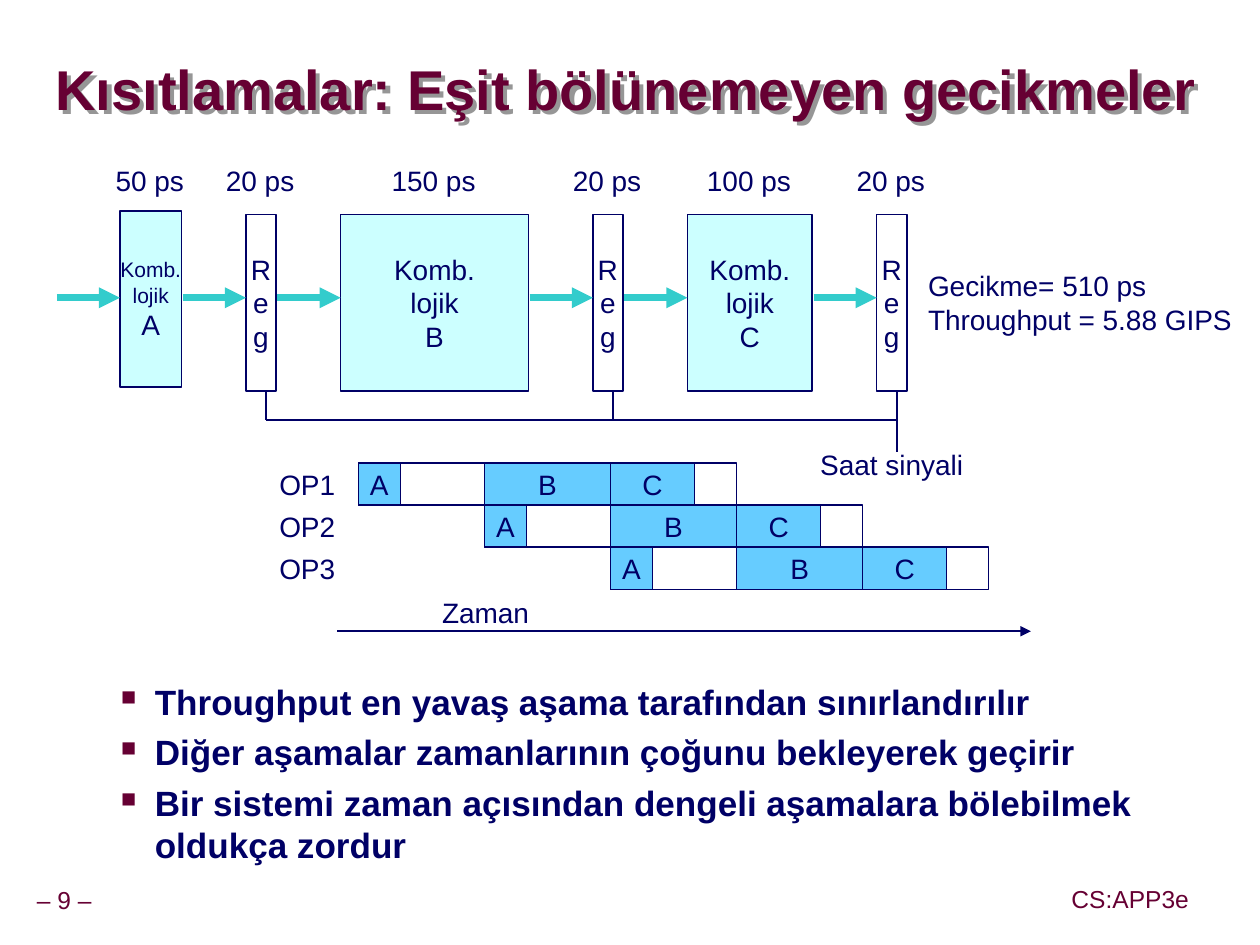
from dataclasses import dataclass
from lxml import etree
from pptx import Presentation, util as u
from pptx.dml import color as dml
from pptx.enum import shapes, text
from pptx.oxml import ns

WIDE, HIGH = 9.99, 7.49
NAVY, WINE, TEAL = "000066", "660033", "33CCCC"
PALE, SKY, WHITE = "CCFFFF", "66CCFF", "FFFFFF"
LEFT, MID, RIGHT = text.PP_ALIGN.LEFT, text.PP_ALIGN.CENTER, text.PP_ALIGN.RIGHT


@dataclass
class Grid:
    x: float
    y: float
    col: float
    row: float

    def point(self, c: float, r: float) -> tuple:
        return u.Inches(self.x + c * self.col), u.Inches(self.y + r * self.row)

    def box(self, c: float, r: float, w: float, h: float) -> tuple:
        return *self.point(c, r), u.Inches(w * self.col), u.Inches(h * self.row)


@dataclass
class Block:
    col: int
    wide: int
    time: str
    lines: list
    fill: str = WHITE
    sizes: tuple = (16, 16, 16)
    top: float = 0


PAGE = Grid(0, 0, WIDE / 100, HIGH / 100)  # shares of the slide in percent
PIPE = Grid(0.45, 1.7, 0.25, 0.1)
PLAN = Grid(2.84, 3.67, 1 / 3, 1 / 3)

REG = list("Reg")
BLOCKS = [
    Block(2, 2, "50 ps", ["Komb.", "lojik", "A"], PALE, (12, 12, 16), -0.3),
    Block(6, 1, "20 ps", REG),
    Block(9, 6, "150 ps", ["Komb.", "lojik", "B"], PALE),
    Block(17, 1, "20 ps", REG),
    Block(20, 4, "100 ps", ["Komb.", "lojik", "C"], PALE),
    Block(26, 1, "20 ps", REG),
]
POINTS = [
    "Throughput en yavaş aşama tarafından sınırlandırılır",
    "Diğer aşamalar zamanlarının çoğunu bekleyerek geçirir",
    "Bir sistemi zaman açısından dengeli aşamalara bölebilmek oldukça zordur",
]

deck = Presentation()
deck.slide_width, deck.slide_height = u.Inches(WIDE), u.Inches(HIGH)
slide = deck.slides.add_slide(deck.slide_layouts[6])


def tint(code: str) -> dml.RGBColor:
    return dml.RGBColor.from_string(code)


def add(node, tag: str, **attrs):
    return etree.SubElement(node, ns.qn(tag), attrs)


def bullet(par) -> None:
    props = par._p.get_or_add_pPr()
    props.set("marL", str(u.Inches(0.81)))
    props.set("indent", str(u.Inches(-0.27)))
    add(add(props, "a:buClr"), "a:srgbClr", val=WINE)
    add(props, "a:buSzPct", val="60000")
    add(props, "a:buChar", char="■")


def write(shape, lines: list, sizes=(16,), ink=NAVY, bold=False, align=MID,
          wrap=False, middle=False, pad=(0.1, 0.05), gap=0, marks=False):
    frame = shape.text_frame
    frame.word_wrap = wrap
    frame.vertical_anchor = text.MSO_ANCHOR.MIDDLE if middle else text.MSO_ANCHOR.TOP
    frame.margin_left = frame.margin_right = u.Inches(pad[0])
    frame.margin_top = frame.margin_bottom = u.Inches(pad[1])
    for i, line in enumerate(lines):
        par = frame.add_paragraph() if i else frame.paragraphs[0]
        if i and gap:
            par.space_before = u.Pt(gap)
        if marks:
            bullet(par)
        par.alignment = align
        run = par.add_run()
        run.text = line
        font = run.font
        font.name, font.size, font.bold = "Arial", u.Pt(sizes[i % len(sizes)]), bold
        font.color.rgb = tint(ink)
    return shape


def label(grid: Grid, place: tuple, lines: list, **form):
    return write(slide.shapes.add_textbox(*grid.box(*place)), lines, **form)


def rect(grid: Grid, place: tuple, fill: str = "", weight: float = 0.75):
    shape = slide.shapes.add_shape(shapes.MSO_SHAPE.RECTANGLE, *grid.box(*place))
    shape.shadow.inherit = False
    if fill:
        shape.fill.solid()
        shape.fill.fore_color.rgb = tint(fill)
    else:
        shape.fill.background()
    shape.line.color.rgb = tint(NAVY)
    shape.line.width = u.Pt(weight)
    return shape


def line(grid: Grid, start: tuple, end: tuple, ink=NAVY, weight=1, arrow=False) -> None:
    link = slide.shapes.add_connector(
        shapes.MSO_CONNECTOR.STRAIGHT, *grid.point(*start), *grid.point(*end))
    link.line.color.rgb = tint(ink)
    link.line.width = u.Pt(weight)
    if arrow:
        add(link.line._get_or_add_ln(), "a:tailEnd", type="triangle")
    add(link._element.spPr, "a:effectLst")


# Title with a soft grey shadow
title = label(PAGE, (4.4, 3.6, 95.3, 11.35), ["Kısıtlamalar: Eşit bölünemeyen gecikmeler"],
              sizes=(32,), ink=WINE, bold=True, align=LEFT, wrap=True, middle=True, pad=(0, 0))
shade = add(add(title._element.spPr, "a:effectLst"), "a:outerShdw",
            dist="45000", dir="2700000", algn="ctr", rotWithShape="0")
add(shade, "a:srgbClr", val="969696")

# Pipeline blocks, each fed by an arrow
for b in BLOCKS:
    shape = rect(PIPE, (b.col, b.top, b.wide - 0.04, 14), b.fill, 1)
    write(shape, b.lines, sizes=b.sizes, middle=True)
    line(PIPE, (b.col - 2, 6.6), (b.col, 6.6), TEAL, 4, True)
    label(PIPE, (b.col + b.wide / 2 - 2.55, -4.5, 5, 3.6), [b.time], wrap=True)

# Clock wires
taps = [b.col + 0.64 for b in BLOCKS if b.lines is REG]
for tap in taps:
    line(PIPE, (tap, 14.1), (tap, 18.8 if tap == taps[-1] else 16.3))
line(PIPE, (taps[0], 16.3), (taps[-1], 16.3))
label(PIPE, (23.8, 18, 5.36, 3.7), ["Saat sinyali"])
label(PIPE, (27.24, 3.8, 10.92, 6.3), ["Gecikme= 510 ps", "Throughput = 5.88 GIPS"],
      align=LEFT, wrap=True)

# Time plan: every stage lasts three columns
for row in range(3):
    label(PLAN, (-3, row, 2.75, 1), [f"OP{row + 1}"], align=RIGHT, wrap=True, middle=True)
    for stage, (name, wide) in enumerate(zip("ABC", (1, 3, 2))):
        col = 3 * (row + stage)
        if wide < 3:
            rect(PLAN, (col, row, 3, 1))
        write(rect(PLAN, (col, row, wide, 1), SKY), [name], middle=True)
line(PLAN, (-0.5, 4), (16, 4), arrow=True)
label(PLAN, (1.7, 3, 2.8, 1.1), ["Zaman"], align=LEFT, wrap=True)

# Key points and footer
label(PAGE, (3.2, 71.3, 90.8, 22.7), POINTS, sizes=(20,), bold=True, align=LEFT,
      wrap=True, gap=5, marks=True)
for place, note in (((1.8, 93.1, 6.6, 4.2), "– 9 –"), ((84.5, 93, 10.4, 4.2), "CS:APP3e")):
    label(PAGE, place, [note], sizes=(14,), ink=WINE, middle=True, pad=(0.05, 0.05))

deck.save("out.pptx")
